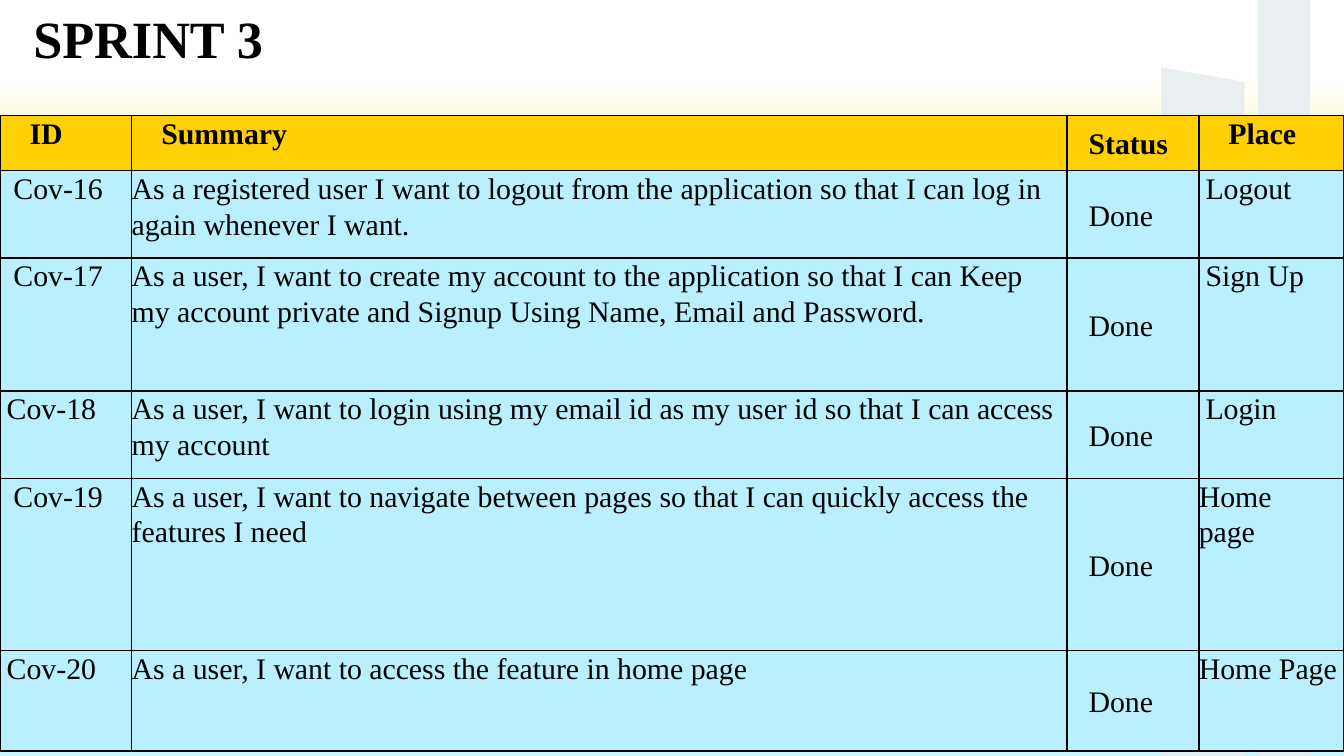
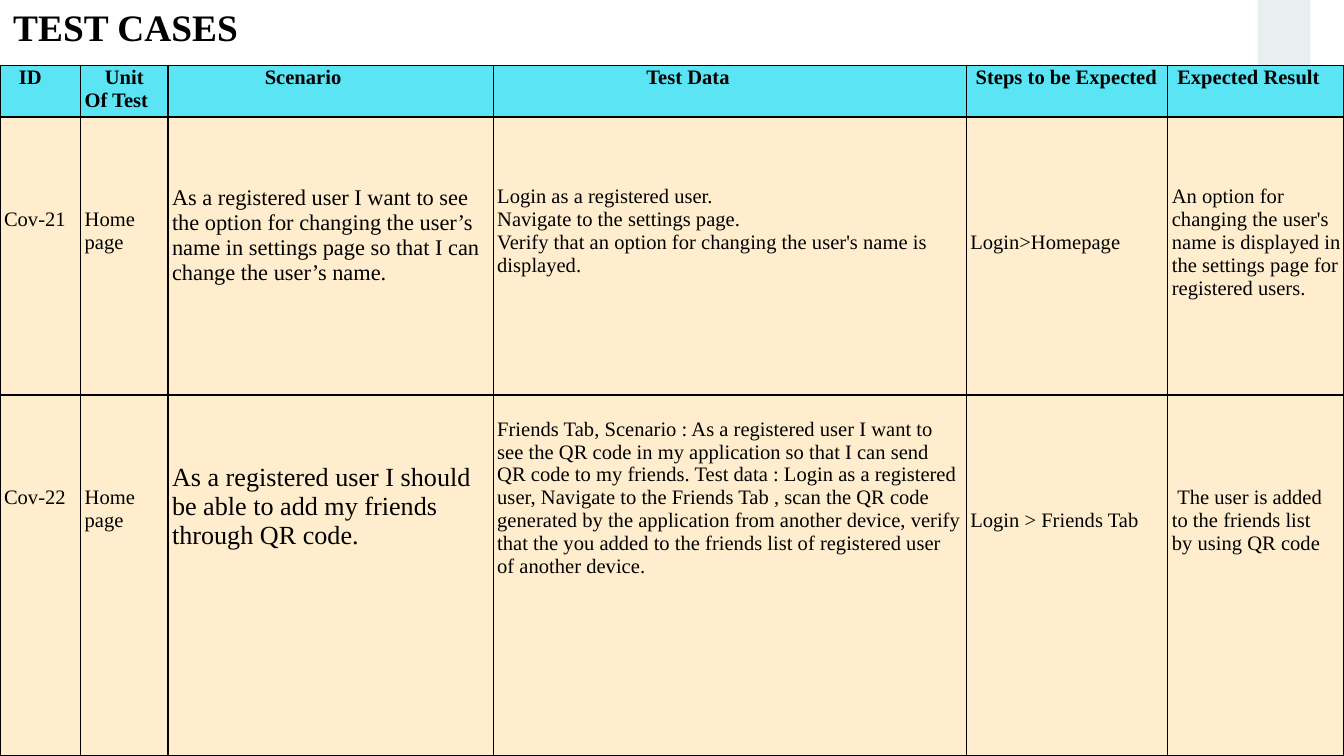
from dataclasses import dataclass
from typing import NamedTuple

from lxml import etree
from pptx import Presentation
from pptx.dml.color import RGBColor
from pptx.enum.text import MSO_ANCHOR, MSO_AUTO_SIZE
from pptx.oxml.ns import qn
from pptx.util import Inches, Pt

TOP, MIDDLE = MSO_ANCHOR.TOP, MSO_ANCHOR.MIDDLE
FIT_SHAPE = MSO_AUTO_SIZE.SHAPE_TO_FIT_TEXT
FONT = "Times New Roman"
SLIDE_WIDTH = Inches(10)
SLIDE_HEIGHT = SLIDE_WIDTH * 9 // 16
LINE = 0.17  # height of one 11 pt line, in inches
SPACE = 0.05  # width of one 16 pt space, in inches

COLORS = {
    "ink": "000000",
    "tower": "E9EEF0",
    "white": "FFFFFF",
    "cream": "FFED9B",
    "sky": "C8F6FB",
    "sprint_header": "FFD104",
    "sprint_body": "B9EFFF",
    "test_header": "5AE4F4",
    "test_body": "FFEDCD",
}
BACKGROUND_STOPS = [(10, "white"), (30, "cream"), (76, "sky"), (100, "sky")]


class Panel(NamedTuple):
    """Slanted piece of a background tower, in inches."""
    left: float
    right: float
    top_left: float
    top_right: float
    bottom_right: float
    bottom_left: float


PANELS = [
    Panel(9.36, 9.75, 3.84, 3.91, 5.62, 5.62),
    Panel(9.36, 9.75, 1.07, 1.14, 2.12, 2.05),
    Panel(9.36, 9.75, 0, 0, 1.04, 0.97),
    Panel(8.64, 9.26, 0.5, 0.61, 1.28, 1.16),
    Panel(8.64, 9.26, 5, 5.12, 5.62, 5.62),
    Panel(8.64, 9.26, 1.27, 1.38, 5.01, 4.9),
]


@dataclass
class Entry:
    """Content of one table cell; lengths in inches."""
    text: str
    indent: float = 0
    top: float = 0
    left: float | None = None
    right: float | None = None
    middle: bool = False
    size: float | None = None


@dataclass
class Grid:
    """Geometry and style of one table; lengths in inches."""
    top: float
    columns: list[float]
    rows: list[float]
    header_fill: str
    body_fill: str
    size: float
    border: float
    inset: float = 0
    line_spacing: float = 1.0
    space_after: float = 0


def rgb(name: str) -> RGBColor:
    return RGBColor.from_string(COLORS[name])


def write_text(frame, text: str, *, size: float, bold: bool = False,
               indent: float = 0, line_spacing: float = 1.0,
               space_after: float = 0) -> None:
    """Write one paragraph per line; the indent applies to the first line."""
    frame.word_wrap = True
    for index, line in enumerate(text.split("\n")):
        paragraph = frame.paragraphs[0] if index == 0 else frame.add_paragraph()
        paragraph.line_spacing = line_spacing
        paragraph.space_after = Pt(space_after)
        if indent and index == 0:
            properties = paragraph._p.get_or_add_pPr()
            properties.set("marL", "0")
            properties.set("indent", str(Inches(indent)))
        run = paragraph.add_run()
        run.text = line
        run.font.name = FONT
        run.font.size = Pt(size)
        run.font.bold = bold
        run.font.color.rgb = rgb("ink")


def paint_background(slide) -> None:
    fill = slide.background.fill
    fill.gradient()
    fill.gradient_angle = 270
    stops = slide.element.find(".//" + qn("a:gsLst"))
    for stop in list(stops):
        stops.remove(stop)
    for percent, color in BACKGROUND_STOPS:
        stop = etree.SubElement(stops, qn("a:gs"), pos=str(percent * 1000))
        etree.SubElement(stop, qn("a:srgbClr"), val=COLORS[color])


def draw_panel(slide, panel: Panel) -> None:
    corners = [
        (panel.left, panel.top_left),
        (panel.right, panel.top_right),
        (panel.right, panel.bottom_right),
        (panel.left, panel.bottom_left),
    ]
    points = [(Inches(x), Inches(y)) for x, y in corners]
    builder = slide.shapes.build_freeform(*points[0])
    builder.add_line_segments(points[1:], close=True)
    tower = builder.convert_to_shape()
    tower.shadow.inherit = False
    tower.fill.solid()
    tower.fill.fore_color.rgb = rgb("tower")
    tower.line.fill.background()


def add_titled_slide(deck, title: str, left: float, top: float,
                     height: float, size: float):
    """Add a slide with the shared backdrop and a heading."""
    slide = deck.slides.add_slide(deck.slide_layouts[6])
    paint_background(slide)
    for panel in PANELS:
        draw_panel(slide, panel)
    heading = slide.shapes.add_textbox(
        Inches(left), Inches(top), Inches(5), Inches(height))
    write_text(heading.text_frame, title, size=size, bold=True)
    heading.text_frame.auto_size = FIT_SHAPE
    return slide


def draw_borders(cell, width: float) -> None:
    properties = cell._tc.get_or_add_tcPr()
    for index, side in enumerate(("lnL", "lnR", "lnT", "lnB")):
        border = etree.Element(qn(f"a:{side}"), w=str(Pt(width)))
        fill = etree.SubElement(border, qn("a:solidFill"))
        etree.SubElement(fill, qn("a:srgbClr"), val=COLORS["ink"])
        properties.insert(index, border)


def fill_cell(cell, entry: Entry, grid: Grid, header: bool) -> None:
    cell.margin_left = Inches(grid.inset if entry.left is None else entry.left)
    cell.margin_right = Inches(grid.inset if entry.right is None else entry.right)
    cell.margin_top = Inches(entry.top)
    cell.margin_bottom = 0
    cell.vertical_anchor = MIDDLE if entry.middle else TOP
    cell.fill.solid()
    cell.fill.fore_color.rgb = rgb(grid.header_fill if header else grid.body_fill)
    draw_borders(cell, grid.border)
    write_text(cell.text_frame, entry.text, size=entry.size or grid.size,
               bold=header, indent=entry.indent,
               line_spacing=grid.line_spacing, space_after=grid.space_after)


def draw_table(slide, grid: Grid, entries: list[list[Entry]]) -> None:
    table = slide.shapes.add_table(
        len(grid.rows), len(grid.columns), 0, Inches(grid.top),
        Inches(sum(grid.columns)), Inches(sum(grid.rows))).table
    table.horz_banding = False
    for column, width in zip(table.columns, grid.columns):
        column.width = Inches(width)
    for row, height in zip(table.rows, grid.rows):
        row.height = Inches(height)
    for row_index, row_entries in enumerate(entries):
        for column_index, entry in enumerate(row_entries):
            fill_cell(table.cell(row_index, column_index), entry, grid,
                      header=row_index == 0)


def status(text: str) -> Entry:
    return Entry(text, left=0.16, right=0.01, top=0.01, middle=True)


def story(number: int, id_spaces: int, summary: str, place: Entry) -> list[Entry]:
    """Row of the sprint table."""
    return [Entry(f"Cov-{number}", indent=id_spaces * SPACE), Entry(summary),
            status("Done"), place]


def lowered(text: str, lines: int, **options) -> Entry:
    """Entry that starts a number of lines below the cell top."""
    return Entry(text, top=lines * LINE, **options)


# Sprint backlog
SPRINT_GRID = Grid(
    top=0.86, columns=[0.98, 6.96, 0.98, 1.08],
    rows=[0.41, 0.65, 0.99, 0.65, 1.28, 0.75],
    header_fill="sprint_header", body_fill="sprint_body",
    size=16, border=1, line_spacing=1.07, space_after=8)
SPRINT_ENTRIES = [
    [Entry("ID", indent=0.22), Entry("Summary", indent=0.22),
     status("Status"), Entry("Place", indent=0.22)],
    story(16, 2, "As a registered user I want to logout from the application "
          "so that I can log in again whenever I want.",
          Entry("Logout", indent=SPACE)),
    story(17, 2, "As a user, I want to create my account to the application "
          "so that I can Keep my account private and Signup Using Name, "
          "Email and Password.", Entry("Sign Up", indent=SPACE)),
    story(18, 1, "As a user, I want to login using my email id as my user id "
          "so that I can access my account", Entry("Login", indent=SPACE)),
    story(19, 2, "As a user, I want to navigate between pages so that I can "
          "quickly access the features I need", Entry("Home page", right=0.3)),
    story(20, 1, "As a user, I want to access the feature in home page",
          Entry("Home Page")),
]

# Test cases
TEST_GRID = Grid(
    top=0.49, columns=[0.6, 0.65, 2.42, 3.52, 1.5, 1.31],
    rows=[0.38, 2.07, 2.68],
    header_fill="test_header", body_fill="test_body",
    size=11, border=0.75, inset=0.03)
TEST_ENTRIES = [
    [Entry("ID", indent=0.11), Entry("Unit\nOf Test", indent=0.15),
     Entry("Scenario", indent=0.69), Entry("Test Data", indent=1.11),
     Entry("Steps to be Expected", indent=0.04),
     Entry("Expected Result", indent=0.04)],
    [lowered("Cov-21", 4), lowered("Home page", 4),
     lowered("As a registered user I want to see the option for changing the "
             "user’s name in settings page so that I can change the user’s "
             "name.", 3, size=12),
     lowered("Login as a registered user.\nNavigate to the settings page.\n"
             "Verify that an option for changing the user's name is "
             "displayed.", 3),
     lowered("Login>Homepage", 5),
     lowered("An option for changing the user's name is displayed in the "
             "settings page for registered users.", 3, right=0)],
    [lowered("Cov-22", 4), lowered("Home page", 4),
     lowered("As a registered user I should be able to add my friends through "
             "QR code.", 3, size=14),
     lowered("Friends Tab, Scenario : As a registered user I want to see the "
             "QR code in my application so that I can send QR code to my "
             "friends. Test data : Login as a registered user, Navigate to "
             "the Friends Tab , scan the QR code generated by the application "
             "from another device, verify that the you added to the friends "
             "list of registered user of another device.", 1),
     lowered("Login > Friends Tab", 5),
     lowered("The user is added to the friends list by using QR code", 4,
             indent=0.04, right=0.15)],
]


def main() -> None:
    deck = Presentation()
    deck.slide_width = SLIDE_WIDTH
    deck.slide_height = SLIDE_HEIGHT

    sprint = add_titled_slide(deck, "SPRINT 3", 0.15, 0, 1.04, size=28)
    draw_table(sprint, SPRINT_GRID, SPRINT_ENTRIES)

    tests = add_titled_slide(deck, "TEST CASES", 0, -0.02, 0.44, size=20)
    draw_table(tests, TEST_GRID, TEST_ENTRIES)

    deck.save("out.pptx")


if __name__ == "__main__":
    main()
